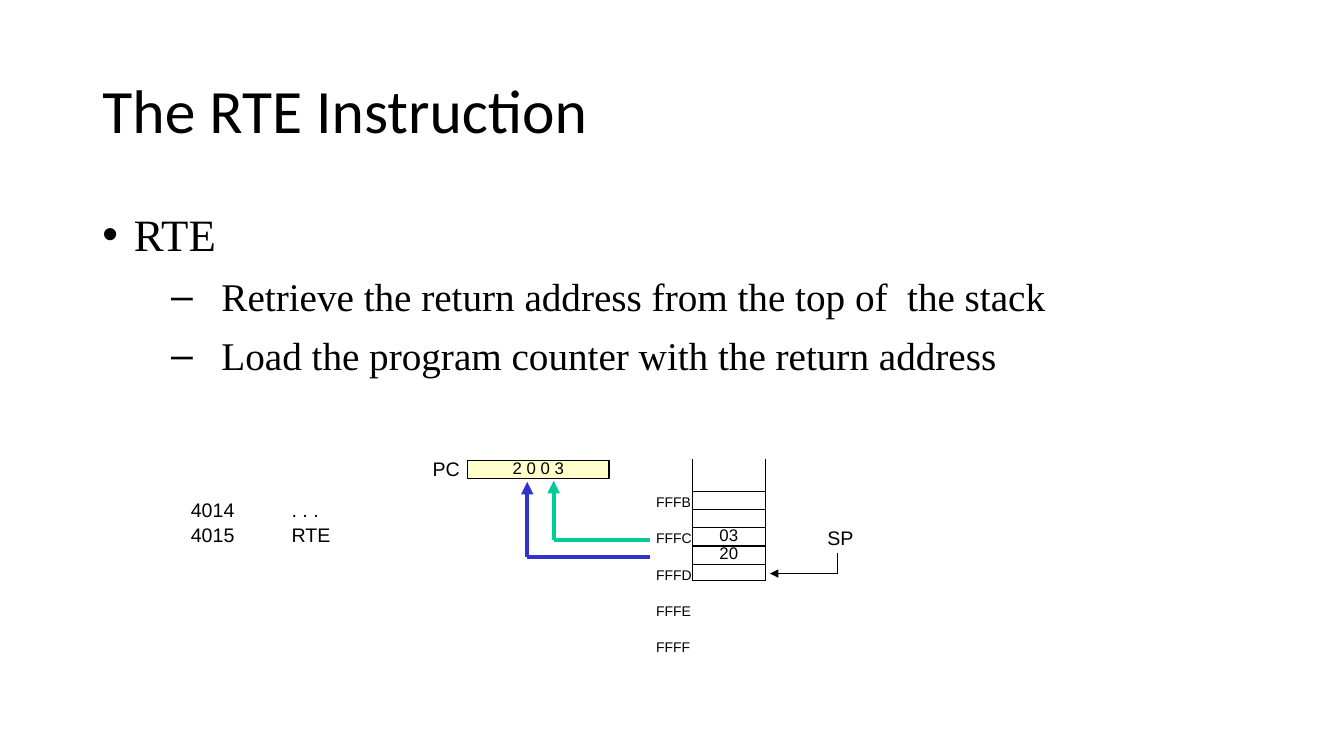
from lxml.etree import SubElement
from pptx import Presentation
from pptx.dml.color import RGBColor
from pptx.enum.shapes import MSO_CONNECTOR as Connector, MSO_SHAPE as Preset
from pptx.enum.text import MSO_ANCHOR as Anchor, PP_ALIGN as Align
from pptx.oxml.ns import qn
from pptx.util import Pt

BLACK = RGBColor(0, 0, 0)
CREAM = RGBColor(0xFF, 0xFF, 0xCC)
BLUE = RGBColor(0x33, 0x33, 0xCC)
GREEN = RGBColor(0x00, 0xCC, 0x99)


def write(paragraph, text, font="Arial", size=14, color=BLACK, align=Align.LEFT,
          leading=1.0, before=0, after=0):
    """Put formatted text into a paragraph."""
    paragraph.alignment = align
    paragraph.line_spacing = leading
    paragraph.space_before, paragraph.space_after = Pt(before), Pt(after)
    run = paragraph.add_run()
    run.text = text
    run.font.name, run.font.size = font, Pt(size)
    run.font.color.rgb = color


def set_insets(frame, top=0):
    """Remove the inner margins of a text frame or table cell, save the top one."""
    frame.margin_left = frame.margin_right = frame.margin_bottom = 0
    frame.margin_top = Pt(top)


def set_bullet(paragraph, mark, left, hang):
    """Give a paragraph a bullet and a hanging indent."""
    props = paragraph._p.get_or_add_pPr()
    props.set("marL", str(Pt(left)))
    props.set("indent", str(-Pt(hang)))
    SubElement(props, qn("a:buFont")).set("typeface", "Arial")
    SubElement(props, qn("a:buChar")).set("char", mark)


def set_borders(cell, edges):
    """Draw the named cell edges in black and hide the others."""
    props = cell._tc.get_or_add_tcPr()
    for edge in "LRTB":
        line = SubElement(props, qn(f"a:ln{edge}"), w=str(Pt(1)))
        if edge in edges:
            fill = SubElement(line, qn("a:solidFill"))
            SubElement(fill, qn("a:srgbClr")).set("val", str(BLACK))
        else:
            SubElement(line, qn("a:noFill"))


class Deck:
    """Hold the slide and its style, and add elements to it."""

    def __init__(self):
        """Open a wide presentation with one title and list slide."""
        self.file = Presentation()
        self.file.slide_width, self.file.slide_height = Pt(960), Pt(540)
        self.slide = self.file.slides.add_slide(self.file.slide_layouts[1])
        self.shapes = self.slide.shapes

    def place(self, holder, left, top, width, height):
        """Move a placeholder and return its text frame."""
        holder.left, holder.top = Pt(left), Pt(top)
        holder.width, holder.height = Pt(width), Pt(height)
        return holder.text_frame

    def title(self, text):
        """Fill the title placeholder."""
        frame = self.place(self.shapes.title, 66, 28.75, 828, 104.4)
        frame.vertical_anchor = Anchor.MIDDLE
        write(frame.paragraphs[0], text, font="Calibri", size=44, leading=0.9)

    def bullets(self, heading, points):
        """Fill the body placeholder with a heading and its points."""
        frame = self.place(self.slide.placeholders[1], 66, 144, 828, 342.7)
        first = frame.paragraphs[0]
        write(first, heading, font="Times New Roman", size=32, before=8.8)
        set_bullet(first, "•", 22.5, 22.5)
        for point in points:
            item = frame.add_paragraph()
            item.level = 1
            write(item, point, font="Times New Roman", size=28, before=8.5)
            set_bullet(item, "–", 85, 36)

    def label(self, lines, left, top, width, height, **style):
        """Add a text box with one paragraph per line."""
        frame = self.shapes.add_textbox(Pt(left), Pt(top), Pt(width), Pt(height)).text_frame
        frame.word_wrap = True
        set_insets(frame, top=1)
        for number, line in enumerate(lines):
            paragraph = frame.add_paragraph() if number else frame.paragraphs[0]
            write(paragraph, line, **style)

    def register(self, value, left, top, width, height):
        """Add a filled register box with its value."""
        box = self.shapes.add_shape(Preset.RECTANGLE, Pt(left), Pt(top), Pt(width), Pt(height))
        box.shadow.inherit = False
        box.fill.solid()
        box.fill.fore_color.rgb = CREAM
        box.line.color.rgb, box.line.width = BLACK, Pt(1)
        set_insets(box.text_frame)
        box.text_frame.vertical_anchor = Anchor.TOP
        write(box.text_frame.paragraphs[0], value, size=12, align=Align.CENTER, leading=Pt(12.7))

    def stack(self, values, heights, left, top, width):
        """Add the stack as a one-column table that is open at the top."""
        frame = self.shapes.add_table(len(values), 1, Pt(left), Pt(top), Pt(width), Pt(sum(heights)))
        table = frame.table
        table.first_row = table.horz_banding = False
        table.columns[0].width = Pt(width)
        for number, (value, height) in enumerate(zip(values, heights)):
            table.rows[number].height = Pt(height)
            cell = table.cell(number, 0)
            set_insets(cell)
            set_borders(cell, "LRTB" if number else "LRB")
            cell.fill.background()
            paragraph = cell.text_frame.paragraphs[0]
            if value:
                write(paragraph, value, size=12, align=Align.CENTER, leading=Pt(12))
            else:
                SubElement(paragraph._p, qn("a:endParaRPr")).set("sz", "800")

    def line(self, start, end, color, width, arrow=False):
        """Add a straight line, with an arrowhead at its end on request."""
        (x1, y1), (x2, y2) = start, end
        link = self.shapes.add_connector(Connector.STRAIGHT, Pt(x1), Pt(y1), Pt(x2), Pt(y2))
        link.line.color.rgb, link.line.width = color, Pt(width)
        if arrow:
            SubElement(link.line._get_or_add_ln(), qn("a:tailEnd")).set("type", "triangle")
        SubElement(link._element.spPr, qn("a:effectLst"))

    def bent_arrow(self, start, corner, end, color, width):
        """Add an arrow with one right angle."""
        self.line(start, corner, color, width)
        self.line(corner, end, color, width, arrow=True)


deck = Deck()
deck.title("The RTE Instruction")
deck.bullets("RTE", ["Retrieve the return address from the top of  the stack",
                     "Load the program counter with the return address"])

deck.label(["PC"], 309, 325.5, 24, 18.5, before=0.9)
deck.label(["FFFB", "FFFC", "FFFD", "FFFE", "FFFF"], 468.7, 350.6, 28, 128,
           size=10, leading=1.06, before=1.2, after=12.1)
deck.stack(["", "", "", "03", "20", ""], [23.5, 13, 13, 13, 13, 11.5], 494.6, 327.6, 52)
deck.register("2 0 0 3", 334, 329, 101, 13)
deck.label(["4014", "4015"], 136.3, 354.5, 36, 35, before=0.9)
deck.label([". . .", "RTE"], 208.3, 354.5, 34, 35, before=0.9)
deck.label(["SP"], 591, 374.5, 24, 18.5, before=0.9)

deck.bent_arrow((464, 398), (376.6, 398), (376.6, 344.2), BLUE, 3)
deck.bent_arrow((464, 385.5), (395.5, 385.5), (395.5, 343.4), GREEN, 3)
deck.bent_arrow((598.3, 395.3), (598.3, 409.7), (550, 409.7), BLACK, 1)

deck.file.save("out.pptx")
